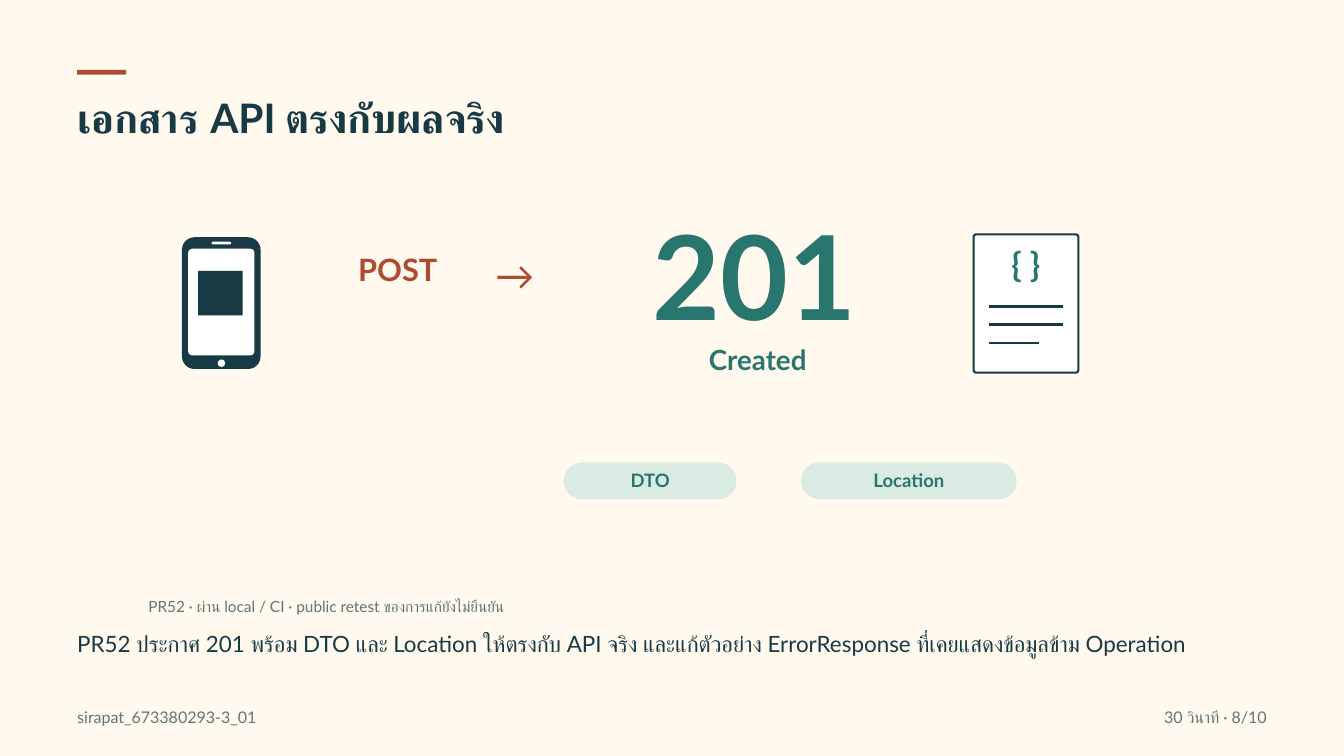
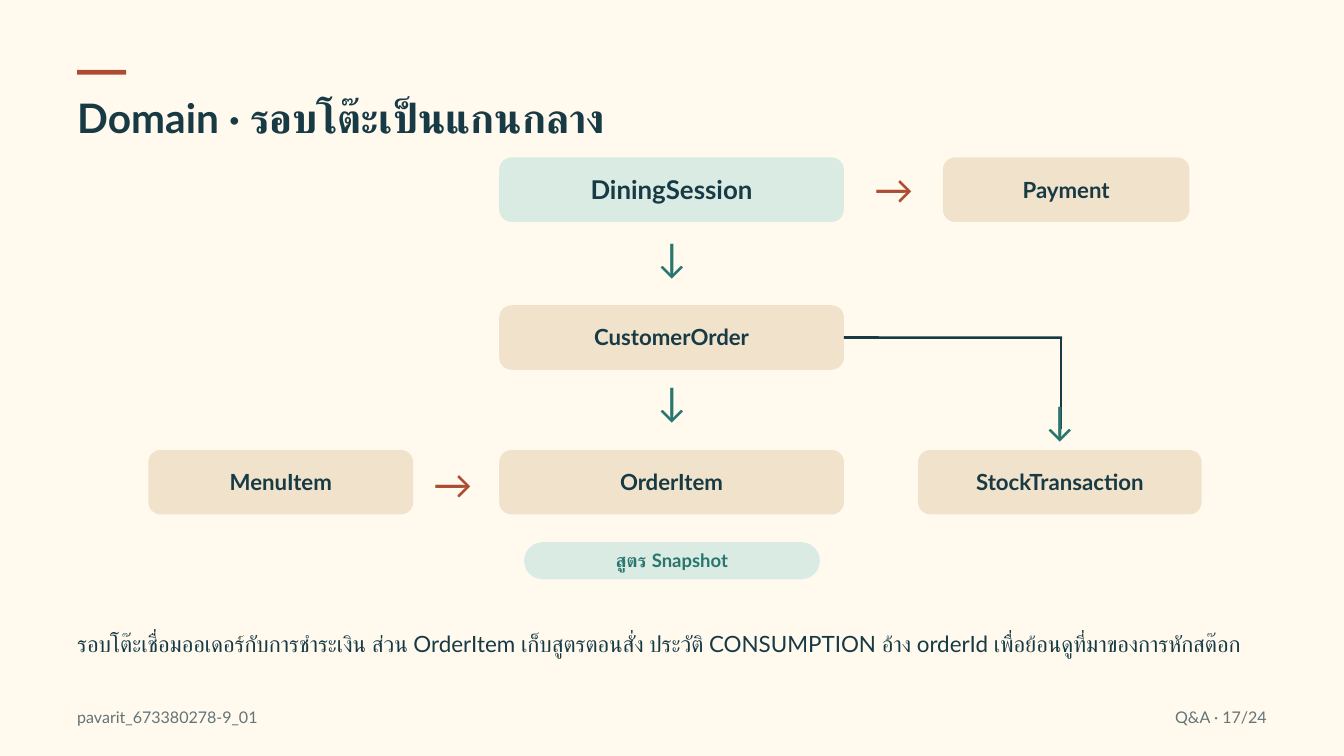
import pptx
import pptx.dml.color
import pptx.enum.shapes
import pptx.enum.text
import pptx.oxml.ns
import pptx.util
from lxml import etree

Cm = pptx.util.Cm
Pt = pptx.util.Pt
RGBColor = pptx.dml.color.RGBColor
SHAPE = pptx.enum.shapes.MSO_SHAPE
STRAIGHT = pptx.enum.shapes.MSO_CONNECTOR.STRAIGHT
ALIGN = pptx.enum.text.PP_ALIGN
ANCHOR = pptx.enum.text.MSO_ANCHOR

CREAM = RGBColor(0xFF, 0xF9, 0xEE)
WHITE = RGBColor(0xFF, 0xFF, 0xFF)
NAVY = RGBColor(0x17, 0x3A, 0x45)
RUST = RGBColor(0xAC, 0x4D, 0x31)
GREEN = RGBColor(0x28, 0x76, 0x6D)
MINT = RGBColor(0xDA, 0xEB, 0xE4)
SAND = RGBColor(0xF1, 0xE3, 0xCB)
GREY = RGBColor(0x64, 0x74, 0x77)

FONT = "Lato"
LEADING = 1.34
MARGIN = 2.92
BOX_HEIGHT = 2.44
PILL_HEIGHT = 1.4


class Deck:
    def __init__(self):
        self.prs = pptx.Presentation()
        self.prs.slide_width = Cm(50.8)
        self.prs.slide_height = Cm(28.58)
        fill = self.prs.slide_master.background.fill
        fill.solid()
        fill.fore_color.rgb = CREAM
        self.s = None

    def slide(self, title, caption, author, counter):
        self.s = self.prs.slides.add_slide(self.prs.slide_layouts[6])
        self.shape(SHAPE.RECTANGLE, MARGIN, 2.64, 1.85, 0.18, RUST)
        self.text(title, MARGIN, 3.28, 45.24, 2.21, 43.5, NAVY, bold=True, align=ALIGN.LEFT)
        self.text(caption, MARGIN, 23.7, 44.98, 2.36, 24, NAVY, align=ALIGN.LEFT)
        self.text(author, MARGIN, 26.67, 33.07, 0.86, 17.2, GREY, align=ALIGN.LEFT)
        self.text(counter, 38.89, 26.67, 8.99, 0.86, 17.2, GREY, align=ALIGN.RIGHT)

    def style_text(self, sp, text, size, color, bold, align):
        tf = sp.text_frame
        tf.text = text
        tf.word_wrap = True
        tf.margin_left = tf.margin_right = tf.margin_top = tf.margin_bottom = 0
        p = tf.paragraphs[0]
        p.alignment = align
        p.line_spacing = Pt(round(size * LEADING, 1))
        font = p.runs[0].font
        font.name = FONT
        font.size = Pt(size)
        font.bold = bold
        font.color.rgb = color

    def text(self, text, x, y, w, h, size, color, bold=False, align=ALIGN.CENTER):
        sp = self.s.shapes.add_textbox(Cm(x), Cm(y), Cm(w), Cm(h))
        self.style_text(sp, text, size, color, bold, align)

    def arrow(self, glyph, x, y, w, color):
        self.text(glyph, x, y, w, 2.16, 42.2, color)

    def shape(self, kind, x, y, w, h, fill, outline=None):
        sp = self.s.shapes.add_shape(kind, Cm(x), Cm(y), Cm(w), Cm(h))
        sp.shadow.inherit = False
        sp.fill.solid()
        sp.fill.fore_color.rgb = fill
        if outline is None:
            sp.line.fill.background()
        else:
            sp.line.color.rgb = outline
            sp.line.width = Pt(2.25)
        return sp

    def rounded(self, x, y, w, h, radius, fill, outline=None):
        sp = self.shape(SHAPE.ROUNDED_RECTANGLE, x, y, w, h, fill, outline)
        sp.adjustments[0] = radius / min(w, h)
        return sp

    def label(self, sp, text, size, color):
        self.style_text(sp, text, size, color, True, ALIGN.CENTER)
        sp.text_frame.vertical_anchor = ANCHOR.MIDDLE
        sp.text_frame.margin_bottom = Cm(0.15)

    def box(self, text, x, y, w, fill=SAND, size=23.8):
        sp = self.rounded(x, y, w, BOX_HEIGHT, 0.47, fill)
        self.label(sp, text, size, NAVY)
        return sp

    def pill(self, text, x, y, w):
        sp = self.rounded(x, y, w, PILL_HEIGHT, PILL_HEIGHT / 2, MINT)
        self.label(sp, text, 19.8, GREEN)

    def line(self, x1, y1, x2, y2, start=None):
        c = self.s.shapes.add_connector(STRAIGHT, Cm(x1), Cm(y1), Cm(x2), Cm(y2))
        if start is not None:
            c.begin_connect(start, 3)
        c.line.color.rgb = NAVY
        c.line.width = Pt(2.7)
        etree.SubElement(c._element.spPr, pptx.oxml.ns.qn("a:effectLst"))

    def phone(self):
        self.rounded(6.88, 8.97, 2.97, 4.98, 0.47, NAVY)
        self.rounded(7.11, 9.4, 2.51, 4.04, 0.17, WHITE)
        self.rounded(8, 9.14, 0.74, 0.1, 0.05, WHITE)
        self.shape(SHAPE.OVAL, 8.23, 13.59, 0.28, 0.28, WHITE)
        self.shape(SHAPE.RECTANGLE, 7.49, 10.24, 1.68, 1.68, NAVY)

    def document(self):
        self.rounded(36.8, 8.86, 3.96, 5.23, 0.1, WHITE, NAVY)
        self.text("{ }", 37.29, 9.02, 2.97, 1.85, 36.5, GREEN, bold=True)
        for i, length in enumerate((2.77, 2.77, 1.88)):
            y = 11.58 + 0.69 * i
            self.line(37.39, y, 37.39 + length, y)


def api_slide(deck):
    deck.slide(
        "เอกสาร API ตรงกับผลจริง",
        "PR52 ประกาศ 201 พร้อม DTO และ Location ให้ตรงกับ API จริง "
        "และแก้ตัวอย่าง ErrorResponse ที่เคยแสดงข้อมูลข้าม Operation",
        "sirapat_673380293-3_01",
        "30 วินาที · 8/10",
    )
    deck.phone()
    deck.text("POST", 12.47, 9.3, 5.13, 1.7, 33, RUST, bold=True)
    deck.arrow("→", 17.6, 9.27, 3.73, RUST)
    deck.text("201", 23.29, 7.09, 10.46, 6.4, 125.4, GREEN, bold=True)
    deck.text("Created", 24.92, 12.83, 7.44, 1.5, 29.7, GREEN, bold=True)
    deck.document()
    deck.pill("DTO", 21.31, 17.48, 6.53)
    deck.pill("Location", 30.28, 17.48, 8.15)
    deck.text("PR52 · ผ่าน local / CI · public retest ของการแก้ยังไม่ยืนยัน",
              5.61, 22.5, 39.57, 0.86, 16.5, GREY, align=ALIGN.LEFT)


def domain_slide(deck):
    deck.slide(
        "Domain · รอบโต๊ะเป็นแกนกลาง",
        "รอบโต๊ะเชื่อมออเดอร์กับการชำระเงิน ส่วน OrderItem เก็บสูตรตอนสั่ง "
        "ประวัติ CONSUMPTION อ้าง orderId เพื่อย้อนดูที่มาของการหักสต๊อก",
        "pavarit_673380278-9_01",
        "Q&A · 17/24",
    )
    session_y, order_y, item_y = 5.95, 11.54, 17.01
    center_x, center_w = 18.87, 13.03
    deck.box("DiningSession", center_x, session_y, center_w, MINT, 27.7)
    order = deck.box("CustomerOrder", center_x, order_y, center_w)
    deck.box("OrderItem", center_x, item_y, center_w)
    deck.box("MenuItem", 5.61, item_y, 10.01)
    deck.box("Payment", 35.64, session_y, 9.32)
    deck.box("StockTransaction", 34.7, item_y, 10.72)

    branch_x, branch_y = 40.1, order_y + BOX_HEIGHT / 2
    deck.line(center_x + center_w, branch_y, branch_x + 0.05, branch_y, start=order)
    deck.line(branch_x, branch_y, branch_x, 16.21)

    for y in (8.59, 14.05):
        deck.arrow("↓", 23.42, y, 3.96, GREEN)
    deck.arrow("↓", 38.2, 14.76, 3.73, GREEN)
    deck.arrow("→", 15.49, 17.2, 3.25, RUST)
    deck.arrow("→", 32.16, 6.02, 3.25, RUST)
    deck.pill("สูตร Snapshot", 19.81, 20.5, 11.18)


def main():
    deck = Deck()
    api_slide(deck)
    domain_slide(deck)
    deck.prs.save("out.pptx")


if __name__ == "__main__":
    main()
